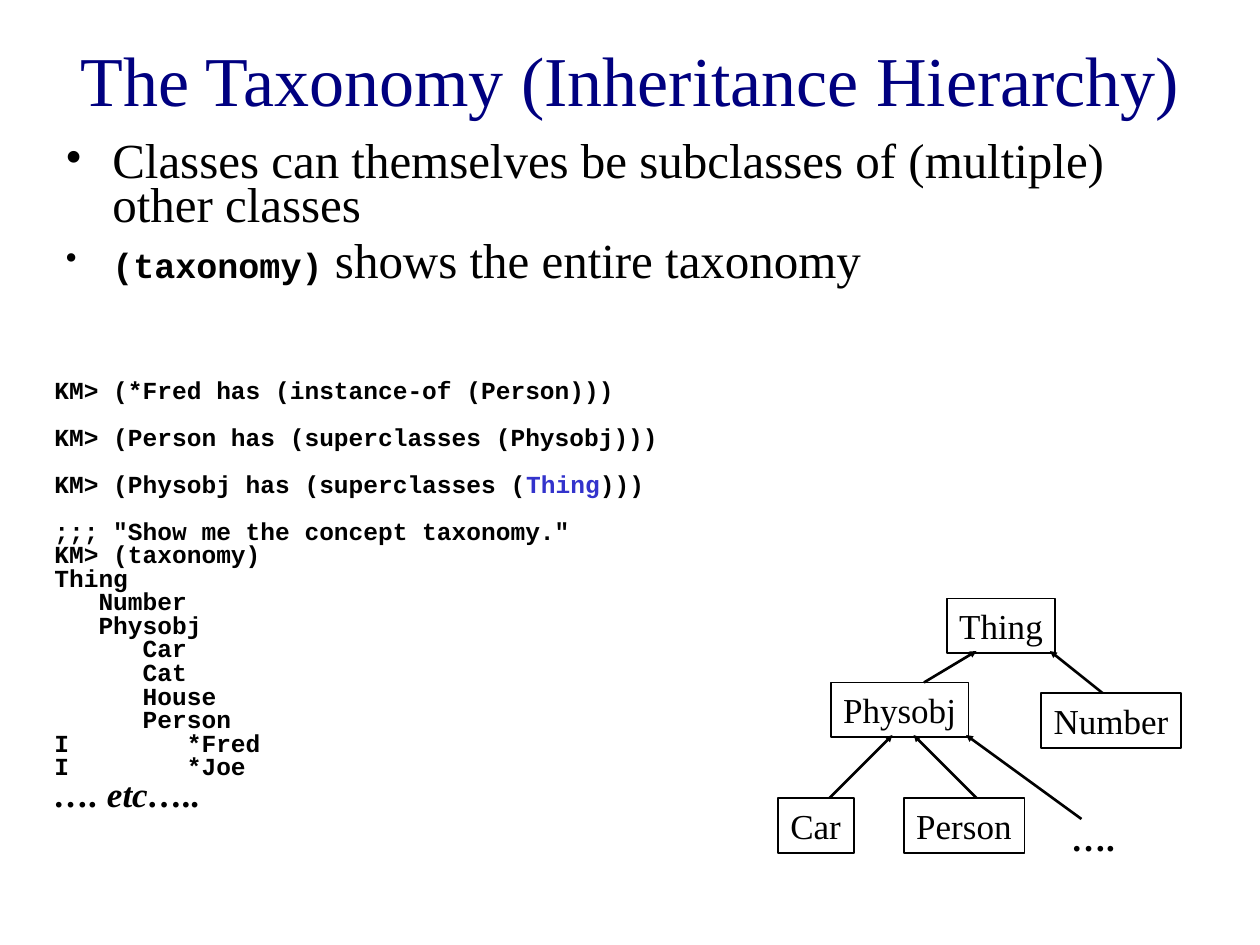
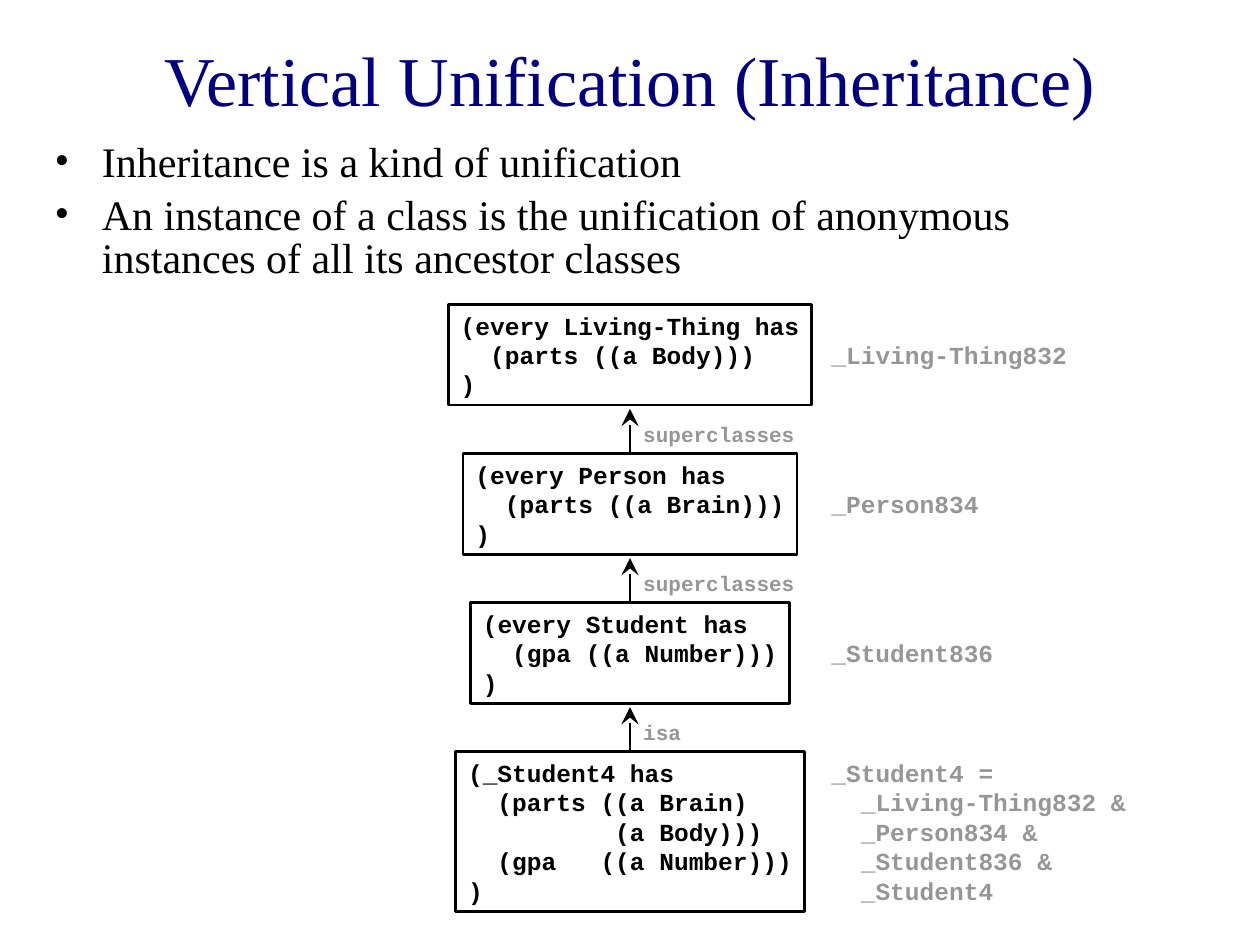
import pptx
import pptx.util
import pptx.dml.color
import pptx.enum.shapes
import pptx.enum.text
import pptx.oxml.ns
from lxml import etree

Pt = pptx.util.Pt
SERIF, MONO = "Times New Roman", "Courier New"
BLACK, WHITE, NAVY, BLUE, GREY = "000000", "FFFFFF", "000080", "3333CC", "969696"
TITLE_BOX = (24, 0, 672, 90)
INSET_X, INSET_Y = 7.2, 3.6
CODE_SIZE = 14


def color(hex_string):
    return pptx.dml.color.RGBColor.from_string(hex_string)


def add_element(parent, tag, **attributes):
    return etree.SubElement(parent, pptx.oxml.ns.qn(tag), attributes)


def place(shape, left, top, width, height):
    shape.left, shape.top, shape.width, shape.height = map(Pt, (left, top, width, height))


def write(shape, paragraphs, size=CODE_SIZE, font=MONO, color_hex=BLACK, bold=False,
          italic=False, align="LEFT", anchor="TOP", wrap=True, line_spacing=None,
          space_before=0, bullet_indent=0):
    """Fill a shape; a paragraph is a string or a list of (text, overrides) runs."""
    frame = shape.text_frame
    frame.word_wrap = wrap
    frame.auto_size = pptx.enum.text.MSO_AUTO_SIZE.NONE
    frame.vertical_anchor = getattr(pptx.enum.text.MSO_ANCHOR, anchor)
    frame.margin_left = frame.margin_right = Pt(INSET_X)
    frame.margin_top = frame.margin_bottom = Pt(INSET_Y)
    defaults = dict(size=size, font=font, color_hex=color_hex, bold=bold, italic=italic)
    for index, content in enumerate(paragraphs):
        paragraph = frame.add_paragraph() if index else frame.paragraphs[0]
        paragraph.alignment = getattr(pptx.enum.text.PP_ALIGN, align)
        paragraph.space_before = Pt(space_before if index else 0)
        if line_spacing:
            paragraph.line_spacing = line_spacing
        if bullet_indent:
            properties = paragraph._p.get_or_add_pPr()
            properties.set("marL", str(Pt(bullet_indent)))
            properties.set("indent", str(-Pt(bullet_indent)))
            add_element(properties, "a:buFont", typeface=SERIF)
            add_element(properties, "a:buChar", char="•")
        for text, overrides in [(content, {})] if isinstance(content, str) else content:
            style = {**defaults, **overrides}
            run = paragraph.add_run()
            run.text = text
            run.font.size = Pt(style["size"])
            run.font.name = style["font"]
            run.font.bold = style["bold"]
            run.font.italic = style["italic"]
            run.font.color.rgb = color(style["color_hex"])
    return frame.paragraphs


def add_text(slide, box, paragraphs, **text_format):
    shape = slide.shapes.add_textbox(*map(Pt, box))
    return write(shape, paragraphs, **text_format)


def add_box(slide, box, paragraphs, fill=None, line_width=1, **text_format):
    shape = slide.shapes.add_shape(pptx.enum.shapes.MSO_SHAPE.RECTANGLE, *map(Pt, box))
    shape.shadow.inherit = False
    if fill:
        shape.fill.solid()
        shape.fill.fore_color.rgb = color(fill)
    else:
        shape.fill.background()
    shape.line.color.rgb = color(BLACK)
    shape.line.width = Pt(line_width)
    write(shape, paragraphs, wrap=False, **text_format)


def add_arrow(slide, start, end, head, head_size):
    connector = slide.shapes.add_connector(
        pptx.enum.shapes.MSO_CONNECTOR.STRAIGHT, *map(Pt, (*start, *end)))
    connector.line.color.rgb = color(BLACK)
    connector.line.width = Pt(1.5)
    add_element(connector.line._get_or_add_ln(), "a:tailEnd",
                type=head, w=head_size, len=head_size)
    add_element(connector._element.spPr, "a:effectLst")


def mono_extent(lines, size=CODE_SIZE):
    """Width and height of a box that just fits monospaced lines."""
    return (max(map(len, lines)) * size * 0.6 + 2 * INSET_X,
            len(lines) * size * 1.2 + 2 * INSET_Y)


def add_content_slide(presentation, title, body_box, bullets, **body_format):
    slide = presentation.slides.add_slide(presentation.slide_layouts[1])
    title_shape, body_shape = slide.placeholders
    place(title_shape, *TITLE_BOX)
    write(title_shape, [title], size=40, font=SERIF, color_hex=NAVY,
          align="CENTER", anchor="MIDDLE")
    place(body_shape, *body_box)
    write(body_shape, bullets, font=SERIF, bullet_indent=27, **body_format)
    return slide


def add_session(slide, box):
    """KM listing, with a one-line gap above each of the later commands."""
    paragraphs = add_text(slide, box, [
        "KM> (*Fred has (instance-of (Person)))",
        "KM> (Person has (superclasses (Physobj)))",
        [("KM> (Physobj has (superclasses (", {}), ("Thing", {"color_hex": BLUE}), (")))", {})],
        ';;; "Show me the concept taxonomy."',
        "KM> (taxonomy)",
        "Thing",
        "   Number",
        "   Physobj",
        "      Car",
        "      Cat",
        "      House",
        "      Person",
        "I        *Fred",
        "I        *Joe",
        [("…. etc…..", {"size": 20, "font": SERIF, "italic": True})],
    ], bold=True, line_spacing=0.8)
    for paragraph in paragraphs[1:4]:
        paragraph.space_before = Pt(13.4)


def add_class_tree(slide, left, top):
    node_height = 31.4
    nodes = [("Thing", 96.5, 0, 62), ("Physobj", 30.2, 48, 78.8), ("Number", 150.5, 54, 80),
             ("Car", 0, 114, 43.4), ("Person", 72, 114, 69)]
    links = [((29.5, 114), (65.5, 78)), ((83.5, 48), (113.5, 30)), ((113.5, 114), (77.5, 78)),
             ((185.5, 54), (155.5, 30)), ((173.5, 126), (107.5, 78))]
    for name, x, y, width in nodes:
        add_box(slide, (left + x, top + y, width, node_height), [name], size=20, font=SERIF)
    for (x1, y1), (x2, y2) in links:
        add_arrow(slide, (left + x1, top + y1), (left + x2, top + y2), "triangle", "sm")
    add_text(slide, (left + 160.5, top + 121, 39.6, node_height), ["…."],
             size=20, font=SERIF, bold=True, wrap=False)


def add_unification_chain(slide, center, top):
    """Stack of definitions, each linked to the one above, with its instance at the right."""
    pitch, instance_offset = 85.2, 108
    steps = [
        (["(every Living-Thing has", "  (parts ((a Body)))", ")"], ["_Living-Thing832"], None),
        (["(every Person has", "  (parts ((a Brain)))", ")"], ["_Person834"], "superclasses"),
        (["(every Student has", "  (gpa ((a Number)))", ")"], ["_Student836"], "superclasses"),
        (["(_Student4 has", "  (parts ((a Brain)", "          (a Body)))",
          "  (gpa   ((a Number)))", ")"],
         ["_Student4 =", "  _Living-Thing832 &", "  _Person834 &", "  _Student836 &",
          "  _Student4"], "isa"),
    ]
    for index, (definition, instance, relation) in enumerate(steps):
        y = top + index * pitch
        width, height = mono_extent(definition)
        add_box(slide, (center - width / 2, y, width, height), definition,
                fill=WHITE, line_width=1.5, bold=True)
        instance_width, instance_height = mono_extent(instance)
        add_text(slide, (center + instance_offset, y + (height - instance_height) / 2,
                         instance_width, instance_height),
                 instance, color_hex=GREY, bold=True, wrap=False)
        if relation:
            add_arrow(slide, (center, y - 1), (center, y - 25.5), "stealth", "lg")
            add_text(slide, (center + 0.5, y - 22, *mono_extent([relation], 12)), [relation],
                     size=12, color_hex=GREY, bold=True, wrap=False)


def main():
    presentation = pptx.Presentation()
    presentation.slide_width, presentation.slide_height = Pt(720), Pt(540)

    taxonomy = add_content_slide(
        presentation, "The Taxonomy (Inheritance Hierarchy)", (30, 78, 654, 96),
        ["Classes can themselves be subclasses of (multiple) other classes",
         [("(taxonomy)", {"size": 20, "font": MONO, "bold": True}),
          (" shows the entire taxonomy", {})]],
        size=28, line_spacing=0.75, space_before=7)
    add_session(taxonomy, (24, 214, 666, 255))
    add_class_tree(taxonomy, 444.5, 342)

    unification = add_content_slide(
        presentation, "Vertical Unification (Inheritance)", (24, 78, 654, 186),
        ["Inheritance is a kind of unification",
         "An instance of a class is the unification of anonymous instances of all its "
         "ancestor classes"],
        size=24, line_spacing=0.85, space_before=6)
    add_unification_chain(unification, 360, 174)

    presentation.save("out.pptx")


if __name__ == "__main__":
    main()
